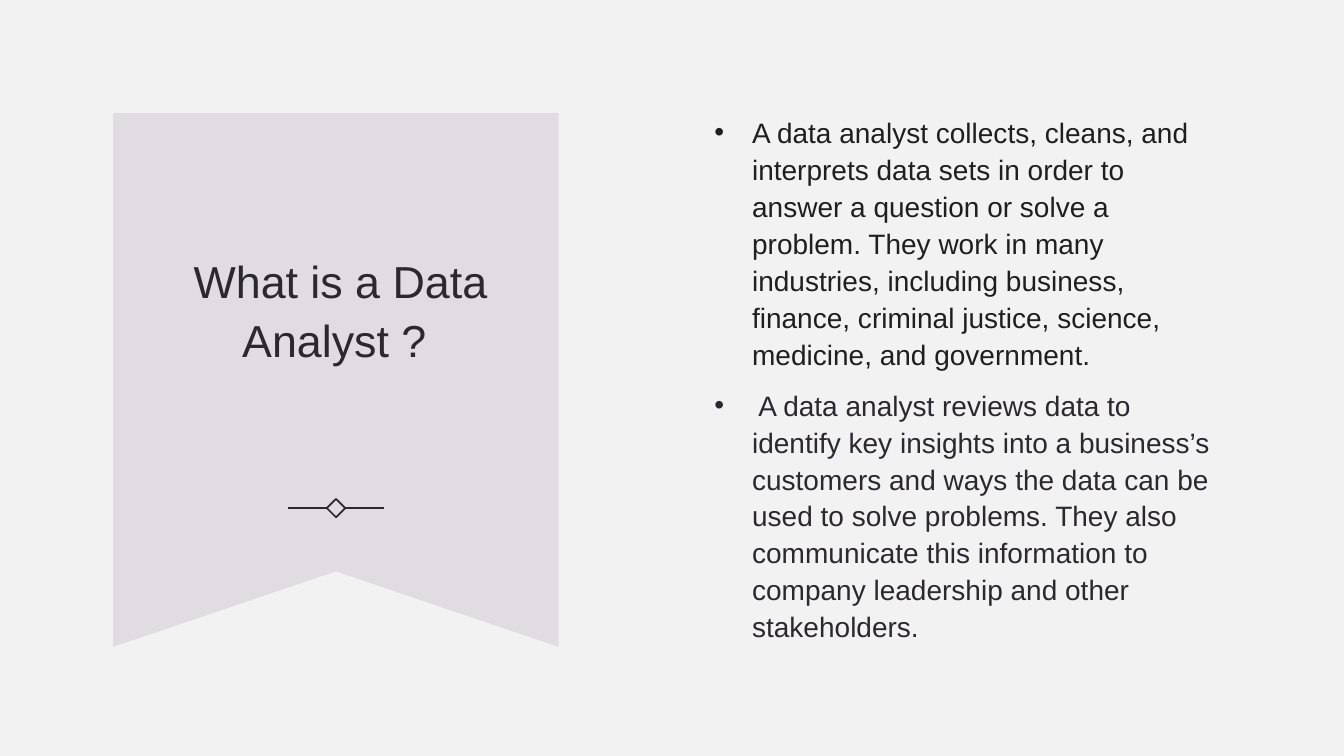
from lxml import etree
from pptx import Presentation
from pptx.dml.color import RGBColor
from pptx.enum.shapes import MSO_CONNECTOR as Connector, MSO_SHAPE as Shape
from pptx.enum.text import MSO_ANCHOR as Anchor, MSO_AUTO_SIZE as AutoSize, PP_ALIGN as Align
from pptx.oxml.ns import qn
from pptx.util import Cm, Pt

PAPER = RGBColor(0xF2, 0xF2, 0xF2)
LILAC = RGBColor(0xE0, 0xDC, 0xE1)
INK = RGBColor(0x2C, 0x28, 0x30)
NEAR_BLACK = RGBColor(0x1F, 0x1F, 0x1F)

HEADING = "What is a Data Analyst ? "
POINTS = [
    ("A data analyst collects, cleans, and interprets data sets in order to answer "
     "a question or solve a problem. They work in many industries, including business, "
     "finance, criminal justice, science, medicine, and government.", NEAR_BLACK),
    (" A data analyst reviews data to identify key insights into a business’s customers "
     "and ways the data can be used to solve problems. They also communicate this "
     "information to company leadership and other stakeholders.", INK),
]


def add_banner(slide, left, top, width, height):
    """Ribbon with a notch cut into its lower edge."""
    right, bottom, notch = left + width, top + height, Cm(1.9)
    outline = slide.shapes.build_freeform(left, top)
    outline.add_line_segments([
        (right, top), (right, bottom),
        (left + width // 2, bottom - notch), (left, bottom)])
    banner = outline.convert_to_shape()
    banner.shadow.inherit = False
    banner.fill.solid()
    banner.fill.fore_color.rgb = LILAC
    banner.line.fill.background()


def add_ornament(slide, left, top, width, height):
    """Small diamond between two horizontal strokes."""
    ornament = slide.shapes.add_group_shape()
    side, stroke = Cm(0.33), Cm(0.98)
    middle = top + height // 2
    diamond = ornament.shapes.add_shape(
        Shape.RECTANGLE, left + (width - side) // 2, middle - side // 2, side, side)
    diamond.rotation = 45
    diamond.shadow.inherit = False
    diamond.fill.background()
    diamond.line.color.rgb = INK
    diamond.line.width = Pt(1.25)
    for start in (left, left + width - stroke):
        line = ornament.shapes.add_connector(
            Connector.STRAIGHT, start, middle, start + stroke, middle)
        line.line.color.rgb = INK
        line.line.width = Pt(1.25)
        etree.SubElement(line.element.spPr, qn("a:effectLst"))


def place(holder, left, top, width, height):
    """Move a placeholder into its box, in front of the banner."""
    holder.left, holder.top, holder.width, holder.height = left, top, width, height
    holder.element.getparent().append(holder.element)
    frame = holder.text_frame
    frame.word_wrap = True
    frame.auto_size = AutoSize.NONE
    frame.vertical_anchor = Anchor.MIDDLE
    return frame


def style(paragraph, size, color):
    paragraph.line_spacing = 1.1
    paragraph.font.name = "Arial"
    paragraph.font.size = Pt(size)
    paragraph.font.color.rgb = color


def fill_title(slide, *box):
    heading = place(slide.shapes.title, *box).paragraphs[0]
    heading.text = HEADING
    heading.alignment = Align.CENTER
    style(heading, 32, INK)


def fill_points(slide, *box):
    frame = place(slide.placeholders[1], *box)
    indent = Cm(0.95)
    for number, (text, color) in enumerate(POINTS):
        point = frame.add_paragraph() if number else frame.paragraphs[0]
        point.text = text
        point.space_before = Pt(10)
        style(point, 20, color)
        # Hanging bullet
        properties = point._p.get_or_add_pPr()
        properties.set("marL", str(indent))
        properties.set("indent", str(-indent))
        bullet_font = etree.Element(qn("a:buFont"), typeface="Arial")
        bullet = etree.Element(qn("a:buChar"), char="•")
        defaults = properties.find(qn("a:defRPr"))
        defaults.addprevious(bullet_font)
        defaults.addprevious(bullet)


def main():
    deck = Presentation()
    deck.slide_width, deck.slide_height = Cm(33.87), Cm(19.05)
    slide = deck.slides.add_slide(deck.slide_layouts[1])
    slide.background.fill.solid()
    slide.background.fill.fore_color.rgb = PAPER

    # Left: ribbon with title and ornament
    add_banner(slide, Cm(2.85), Cm(2.85), Cm(11.23), Cm(13.45))
    add_ornament(slide, Cm(7.26), Cm(12.57), Cm(2.42), Cm(0.47))
    fill_title(slide, Cm(3.91), Cm(3.76), Cm(9.35), Cm(7.98))

    # Right: bullet list
    fill_points(slide, Cm(17.75), Cm(2), Cm(13.16), Cm(15.04))
    deck.save("out.pptx")


if __name__ == "__main__":
    main()
